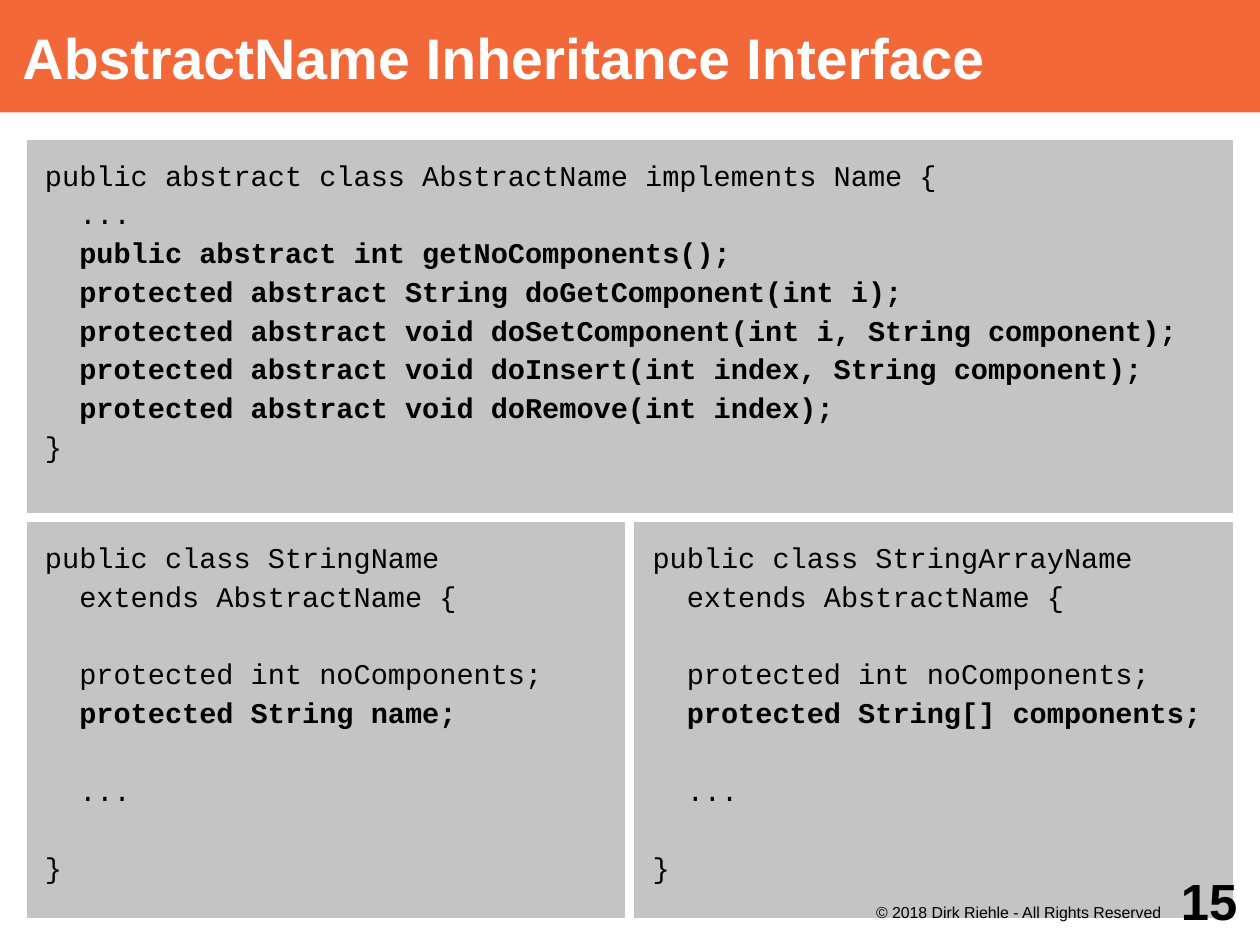
from dataclasses import dataclass

from lxml.etree import SubElement
from pptx import Presentation
from pptx.dml.color import RGBColor as RGB
from pptx.enum.text import MSO_ANCHOR as ANCHOR, MSO_AUTO_SIZE as FIT, PP_ALIGN as ALIGN
from pptx.oxml.ns import qn
from pptx.util import Cm, Pt


@dataclass(frozen=True)
class Theme:
    sans: str = "Arial"
    mono: str = "Courier New"
    accent: RGB = RGB(0xF3, 0x68, 0x38)
    panel: RGB = RGB(0xC4, 0xC4, 0xC4)
    white: RGB = RGB(0xFF, 0xFF, 0xFF)
    black: RGB = RGB(0x00, 0x00, 0x00)
    title_size: float = 36
    code_size: float = 18
    footer_size: float = 10
    number_size: float = 32
    code_line: float = 21.6
    code_after: float = 2.8
    code_indent: float = 21.6  # two monospaced characters
    border: float = 5.67


class Deck:
    def __init__(self, theme, width, height):
        self.theme = theme
        self.prs = Presentation()
        self.prs.slide_width, self.prs.slide_height = Cm(width), Cm(height)
        self.s = None

    def new_slide(self):
        self.s = self.prs.slides.add_slide(self.prs.slide_layouts.get_by_name("Comparison"))

    def place(self, sp, box):
        sp.left, sp.top, sp.width, sp.height = (Cm(v) for v in box)

    def frame(self, sp, insets, anchor):
        tf = sp.text_frame
        tf.word_wrap, tf.auto_size, tf.vertical_anchor = True, FIT.NONE, anchor
        tf.margin_left, tf.margin_top, tf.margin_right, tf.margin_bottom = (Cm(v) for v in insets)
        return tf

    def run(self, p, text, font, size, color, bold=False):
        r = p.add_run()
        r.text = text
        r.font.name, r.font.size, r.font.bold = font, Pt(size), bold
        r.font.color.rgb = color

    def fill(self, sp, color):
        sp.fill.solid()
        sp.fill.fore_color.rgb = color

    def title(self, text, box):
        t, sp = self.theme, self.s.shapes.title
        self.place(sp, box)
        self.fill(sp, t.accent)
        p = self.frame(sp, (0.5, 0, 0, 0), ANCHOR.MIDDLE).paragraphs[0]
        p.alignment = ALIGN.LEFT
        self.run(p, text, t.sans, t.title_size, t.white, True)

    def code(self, idx, box, lines):
        """Each line is (text, indent level, bold, free lines above)."""
        t, sp = self.theme, self.s.placeholders[idx]
        self.place(sp, box)
        self.fill(sp, t.panel)
        sp.line.color.rgb, sp.line.width = t.white, Pt(t.border)
        tf = self.frame(sp, (0.5, 0.5, 0.1, 0.1), ANCHOR.TOP)
        for i, (text, level, bold, gap) in enumerate(lines):
            p = tf.add_paragraph() if i else tf.paragraphs[0]
            p.alignment = ALIGN.LEFT
            p.line_spacing = Pt(t.code_line)
            p.space_before = Pt(gap * (t.code_line + t.code_after))
            p.space_after = Pt(t.code_after)
            pPr = p._p.get_or_add_pPr()
            pPr.set("marL", str(Pt(level * t.code_indent)))
            pPr.set("indent", "0")
            SubElement(pPr, qn("a:buNone"))
            self.run(p, text, t.mono, t.code_size, t.black, bold)

    def label(self, text, box, insets, anchor, size, bold=False):
        t = self.theme
        sp = self.s.shapes.add_textbox(*(Cm(v) for v in box))
        p = self.frame(sp, insets, anchor).paragraphs[0]
        p.alignment = ALIGN.RIGHT
        self.run(p, text, t.sans, size, t.black, bold)

    def drop_empty(self):
        for sp in list(self.s.placeholders):
            if not sp.text_frame.text:
                sp._element.getparent().remove(sp._element)


def subclass_code(name, field):
    return [
        (f"public class {name}", 0, False, 0),
        ("extends AbstractName {", 1, False, 0),
        ("protected int noComponents;", 1, False, 1),
        (f"protected {field};", 1, True, 0),
        ("...", 1, False, 1),
        ("}", 0, False, 1),
    ]


ABSTRACT_METHODS = [
    "public abstract int getNoComponents();",
    "protected abstract String doGetComponent(int i);",
    "protected abstract void doSetComponent(int i, String component);",
    "protected abstract void doInsert(int index, String component);",
    "protected abstract void doRemove(int index);",
]
SUBCLASSES = [("StringName", "String name"), ("StringArrayName", "String[] components")]


def main():
    width, height, margin = 28, 21, 0.5
    theme = Theme()
    deck = Deck(theme, width, height)
    deck.new_slide()

    # Title bar
    deck.title("AbstractName Inheritance Interface", (0, 0, width, 2.5))

    # Abstract class across the full width
    top, upper, lower = 3, 8.5, 9
    inner = width - 2 * margin
    deck.code(1, (margin, top, inner, upper), [
        ("public abstract class AbstractName implements Name {", 0, False, 0),
        ("...", 1, False, 0),
        *((method, 1, True, 0) for method in ABSTRACT_METHODS),
        ("}", 0, False, 0),
    ])

    # Subclasses side by side
    half = inner / 2
    for i, (name, field) in enumerate(SUBCLASSES):
        box = (margin + i * half, top + upper, half, lower)
        deck.code(2 + i, box, subclass_code(name, field))

    # Footer and page number
    deck.label("© 2018 Dirk Riehle - All Rights Reserved", (18, 20, 8, 1),
               (0, 0.05, 0.2, 0), ANCHOR.TOP, theme.footer_size)
    deck.label("15", (25.5, 19, 2.5, 2), (0, 0, 0.5, 0), ANCHOR.MIDDLE,
               theme.number_size, True)

    deck.drop_empty()
    deck.prs.save("out.pptx")


if __name__ == "__main__":
    main()
